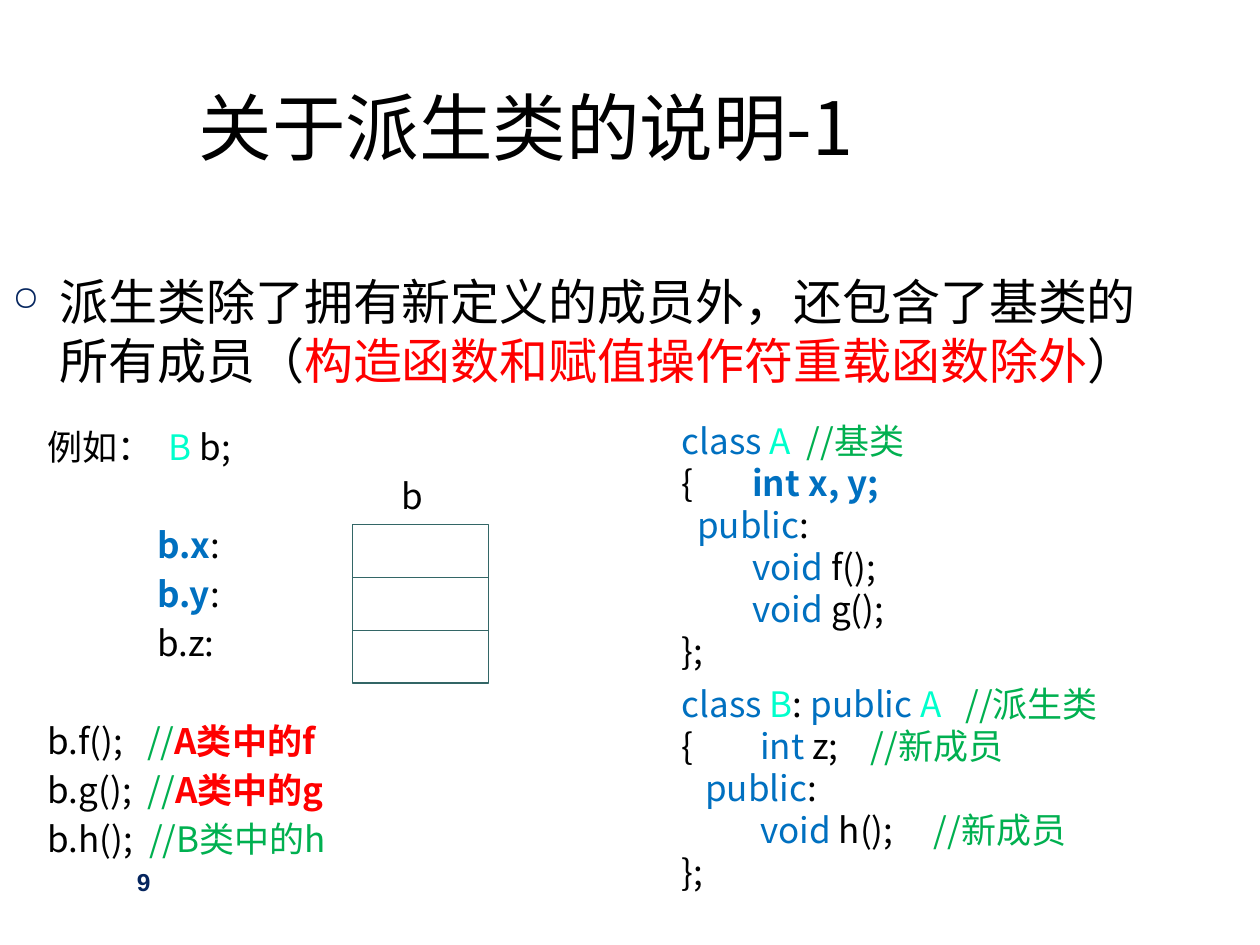
from lxml import etree
from pptx import Presentation
from pptx.dml.color import RGBColor
from pptx.enum.shapes import MSO_CONNECTOR, MSO_SHAPE
from pptx.enum.text import MSO_ANCHOR
from pptx.oxml.ns import qn
from pptx.util import Cm, Pt

LINE = MSO_CONNECTOR.STRAIGHT
RECT = MSO_SHAPE.RECTANGLE
MID = MSO_ANCHOR.MIDDLE

HUES = {
    "ink": "000000", "red": "FF0000", "blue": "0070C0", "aqua": "00FFCC",
    "green": "00B050", "navy": "05255E", "teal": "336666", "white": "FFFFFF",
}
SANS = "Noto Sans CJK SC"
TIGHT = {"line_spacing": Pt(24)}
NEXT = TIGHT | {"space_before": Pt(4)}


def hue(name):
    return RGBColor.from_string(HUES[name])


def put(item, form):
    for key, value in form.items():
        setattr(item, key, value)


def sub(node, tag, **attrs):
    return etree.SubElement(node, qn(tag), attrs)


class Deck:
    def __init__(self):
        self.prs = Presentation()
        put(self.prs, {"slide_width": Cm(25.4), "slide_height": Cm(19.05)})
        self.slide = self.prs.slides.add_slide(self.prs.slide_layouts[6])
        self.shapes = self.slide.shapes

    def text(self, spot, rows, size=20, face=SANS, fill=None, **form):
        box = self.shapes.add_textbox(*map(Cm, spot))
        if fill:
            box.fill.solid()
            box.fill.fore_color.rgb = hue(fill)
        frame = box.text_frame
        put(frame, {"word_wrap": True} | form)
        for i, row in enumerate(rows):
            para = frame.paragraphs[0] if i == 0 else frame.add_paragraph()
            self.para(para, row, size, face)

    def para(self, para, row, size, face):
        runs, form, left, mark, tabs = row
        props = para._p.get_or_add_pPr()
        props.set("marL", str(Cm(left)))
        props.set("indent", str(Cm(-left if mark else 0)))
        if mark:
            tint = sub(props, "a:buClr")
            sub(tint, "a:srgbClr", val=HUES["navy"])
            sub(props, "a:buSzPct", val="70000")
            sub(props, "a:buChar", char=mark)
        if tabs:
            stops = sub(props, "a:tabLst")
            for tab in tabs:
                sub(stops, "a:tab", pos=str(Cm(tab)), algn="l")
        put(para, form)
        for words, tone, *bold in runs:
            run = para.add_run()
            run.text = words
            put(run.font, {"size": Pt(size), "name": face, "bold": bool(bold)})
            run.font.color.rgb = hue(tone)
            sub(run._r.get_or_add_rPr(), "a:ea", typeface=face)

    def stack(self, x, y, wide, high, count):
        group = self.shapes.add_group_shape()
        box = group.shapes.add_shape(RECT, Cm(x), Cm(y), Cm(wide), Cm(high))
        box.shadow.inherit = False
        box.fill.background()
        self.edge(box)
        for i in range(1, count):
            at = Cm(y + high * i / count)
            rule = group.shapes.add_connector(LINE, Cm(x), at, Cm(x + wide), at)
            sub(rule._element.spPr, "a:effectLst")
            self.edge(rule)

    def edge(self, item):
        item.line.color.rgb = hue("teal")
        item.line.width = Pt(0.75)


def row(*runs, form=TIGHT, left=0, mark=None, tabs=()):
    return runs, form, left, mark, tabs


def field(name, *bold):
    tone = "blue" if bold else "ink"
    return row((f"b.{name}", tone, *bold), (":", "ink"), form=NEXT, left=2.92)


def call(code, note, tone, *bold, form=NEXT):
    return row((code, "ink"), ("//", "green"), (note, tone, *bold),
               form=form, left=0.71)


def func(name, lead, *note, tabs=(1.27,)):
    return row((lead, "ink"), ("void", "blue"), (f" {name}();", "ink"), *note,
               tabs=tabs)


def access(lead):
    return row((lead, "ink"), ("public", "blue"), (":", "ink"))


def main():
    deck = Deck()
    deck.text((0, 5.33, 23.4, 12.37), [
        row(("派生类除了拥有新定义的成员外，还包含了基类的所有成员（", "ink"),
            ("构造函数和赋值操作符重载函数除外", "red"), ("）", "ink"),
            form={"line_spacing": Pt(34)}, left=0.95, mark="○"),
    ], size=28, fill="white")
    deck.text((0, 8.45, 13.4, 9.25), [
        row(("例如：  ", "ink"), ("B", "aqua"), (" b;", "ink"), left=0.71),
        row(("b", "ink"), form=NEXT, left=7.85),
        field("x", True),
        field("y", True),
        field("z"),
        call("b.f();   ", "A类中的f", "red", True,
             form=TIGHT | {"space_before": Pt(32)}),
        call("b.g();  ", "A类中的g", "red", True),
        call("b.h();  ", "B类中的h", "green"),
    ])
    deck.text((3.76, 0.43, 19.48, 4.24), [
        row(("关于派生类的说明-1", "ink"), form={}),
    ], size=42, vertical_anchor=MID)
    deck.stack(7.11, 10.57, 2.74, 3.2, 3)
    fresh = ("\t//新成员", "green")
    deck.text((13.49, 8.33, 11, 9.88), [
        row(("class ", "blue"), ("A  ", "aqua"), ("//基类", "green")),
        row(("{\t ", "ink"), ("int x, y;", "blue", True), tabs=(1.27,)),
        access("  "),
        func("f", "\t "),
        func("g", "\t "),
        row(("};", "ink"), form=TIGHT | {"space_after": Pt(6)}),
        row(("class ", "blue"), ("B", "aqua"), (": ", "ink"),
            ("public ", "blue"), ("A   ", "aqua"), ("//派生类", "green")),
        row(("{\t  ", "ink"), ("int", "blue"), (" z;", "ink"), fresh,
            tabs=(1.27, 5.2)),
        access("   "),
        func("h", "\t  ", fresh, tabs=(1.27, 5.36)),
        row(("};", "ink")),
    ], fill="white")
    deck.text((2.51, 17.35, 5.28, 1.27), [
        row(("9", "navy", True), form={}),
    ], size=14, face="Arial")
    deck.prs.save("out.pptx")


if __name__ == "__main__":
    main()
